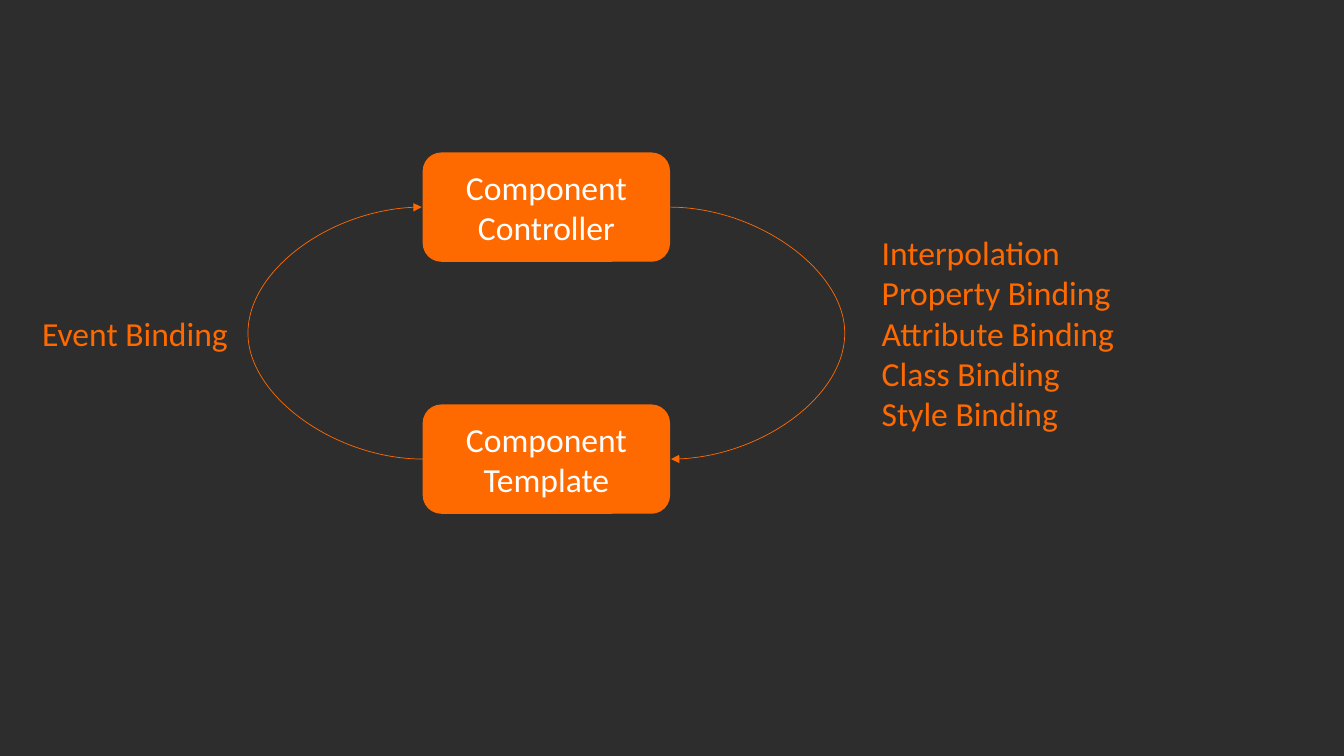
"""Build the component data binding slide."""
from dataclasses import dataclass

from lxml import etree
from pptx import Presentation
from pptx.dml.color import RGBColor
from pptx.enum import shapes, text
from pptx.oxml import ns
from pptx.util import Cm, Pt


@dataclass(frozen=True)
class Theme:
    background: RGBColor = RGBColor(0x2D, 0x2D, 0x2D)
    accent: RGBColor = RGBColor(0xFF, 0x6A, 0x00)
    on_accent: RGBColor = RGBColor(0xFF, 0xFF, 0xFF)
    font: str = "Calibri"
    size: Pt = Pt(24)
    outline: Pt = Pt(1)
    arrow: Pt = Pt(0.5)


THEME = Theme()
PARTS = ["Component Controller", "Component Template"]
BINDINGS = [
    (["Event Binding"], 0.81, 5.23),
    (["Interpolation", "Property Binding", "Attribute Binding",
      "Class Binding", "Style Binding"], 21.97, 6.43),
]
TOP_SITE, LEFT_SITE, BOTTOM_SITE, RIGHT_SITE = range(4)

PART_LEFT, PART_TOP, PART_STEP = Cm(10.67), Cm(3.86), Cm(6.35)
PART_WIDTH, PART_HEIGHT = Cm(6.2), Cm(2.72)
BULGE, NUDGE = Cm(4.42), Cm(0.04)
LOOP_MIDDLE = PART_TOP + (PART_STEP + PART_HEIGHT) // 2


def style_text(frame, color, align):
    for paragraph in frame.paragraphs:
        paragraph.alignment = align
        for run in paragraph.runs:
            run.font.name = THEME.font
            run.font.size = THEME.size
            run.font.color.rgb = color


def add_part(slide, label, row):
    part = slide.shapes.add_shape(
        shapes.MSO_SHAPE.ROUNDED_RECTANGLE,
        PART_LEFT, PART_TOP + row * PART_STEP, PART_WIDTH, PART_HEIGHT)
    part.shadow.inherit = False
    part.fill.solid()
    part.fill.fore_color.rgb = THEME.accent
    part.line.color.rgb = THEME.accent
    part.line.width = THEME.outline
    part.text_frame.text = label
    part.text_frame.word_wrap = True
    part.text_frame.vertical_anchor = text.MSO_ANCHOR.MIDDLE
    style_text(part.text_frame, THEME.on_accent, text.PP_ALIGN.CENTER)
    return part


def add_flow(slide, source, target, site, direction):
    flow = slide.shapes.add_connector(shapes.MSO_CONNECTOR.CURVE, 0, 0, 0, 0)
    flow.begin_connect(source, site)
    flow.end_connect(target, site)
    flow.end_x = flow.begin_x + direction * NUDGE
    flow.line.color.rgb = THEME.accent
    flow.line.width = THEME.arrow
    properties = flow._element.spPr
    guides = properties.find(ns.qn("a:prstGeom")).get_or_add_avLst()
    etree.SubElement(guides, ns.qn("a:gd"), name="adj1",
                     fmla=f"val {round(BULGE / NUDGE * 100000)}")
    etree.SubElement(properties.find(ns.qn("a:ln")), ns.qn("a:tailEnd"), type="triangle")
    etree.SubElement(properties, ns.qn("a:effectLst"))


def add_bindings(slide, names, left, width):
    height = Cm(0.25 + 1.02 * len(names))
    bindings = slide.shapes.add_textbox(
        Cm(left), LOOP_MIDDLE - height // 2, Cm(width), height)
    frame = bindings.text_frame
    frame.text = "\n".join(names)
    frame.word_wrap = False
    frame.auto_size = text.MSO_AUTO_SIZE.SHAPE_TO_FIT_TEXT
    style_text(frame, THEME.accent, text.PP_ALIGN.LEFT)


def main():
    deck = Presentation()
    deck.slide_width, deck.slide_height = Cm(33.87), Cm(19.05)
    slide = deck.slides.add_slide(deck.slide_layouts[6])
    slide.background.fill.solid()
    slide.background.fill.fore_color.rgb = THEME.background

    controller, template = [add_part(slide, label, row) for row, label in enumerate(PARTS)]
    add_flow(slide, template, controller, LEFT_SITE, -1)
    add_flow(slide, controller, template, RIGHT_SITE, 1)
    for names, left, width in BINDINGS:
        add_bindings(slide, names, left, width)
    deck.save("out.pptx")


main()
